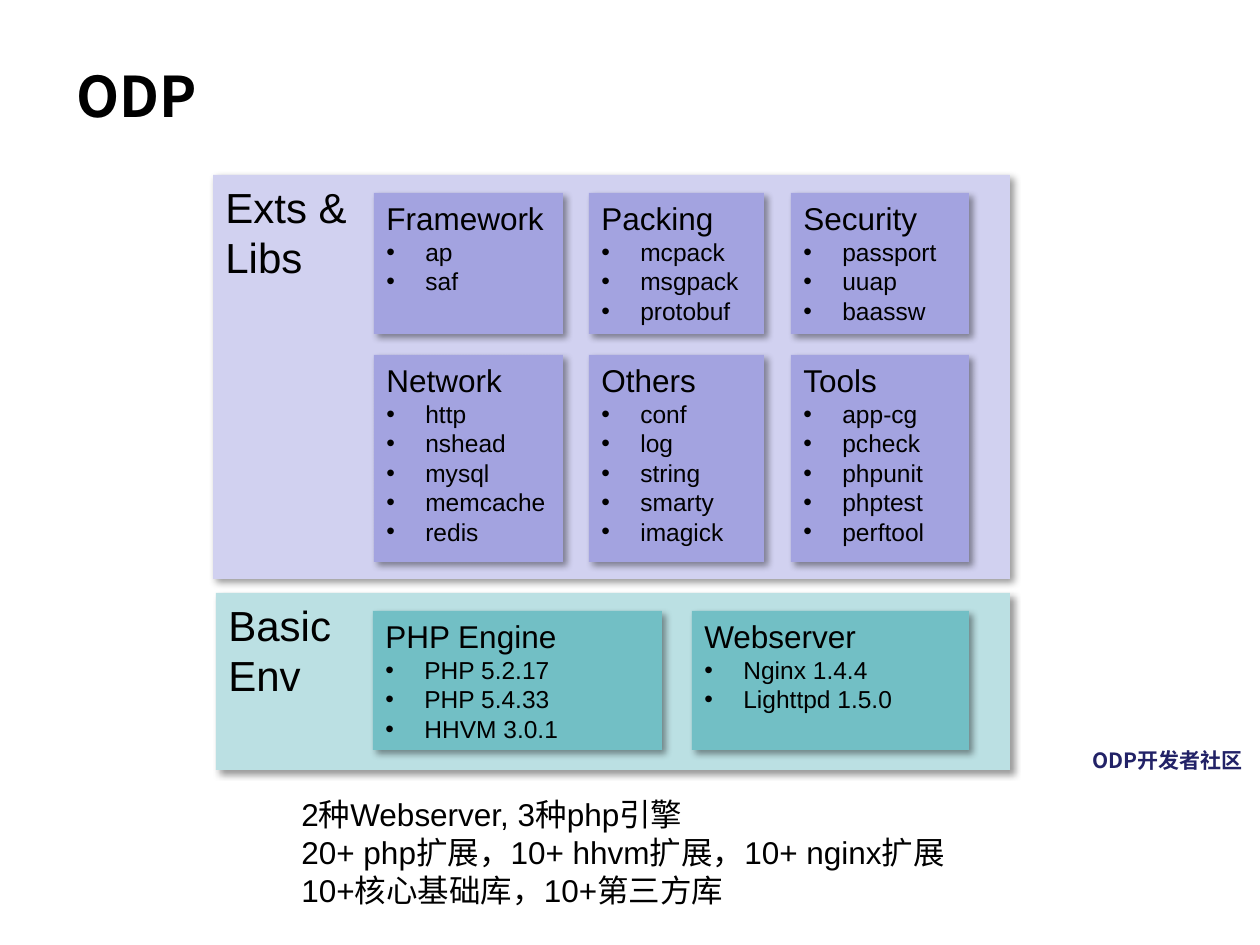
from lxml.etree import SubElement
from pptx import Presentation
from pptx.dml.color import RGBColor
from pptx.enum.shapes import MSO_SHAPE
from pptx.enum.text import MSO_ANCHOR, MSO_AUTO_SIZE, PP_ALIGN
from pptx.oxml.ns import qn
from pptx.util import Emu, Pt

SCALE = 914400 / 126
CJK_FONT = "Noto Sans CJK SC"
INDENT = 39
COLORS = {
    "text": "000000",
    "community": "222267",
    "library_panel": "D1D1F0",
    "library_card": "A3A3E0",
    "env_panel": "BBE0E3",
    "env_card": "72BFC5",
    "shadow": "000000",
}
COLUMNS = [(374, 189), (589, 175), (791, 178)]
LIBRARY_ROWS = [
    (193, 141, [
        ("Framework", ["ap", "saf"]),
        ("Packing", ["mcpack", "msgpack", "protobuf"]),
        ("Security", ["passport", "uuap", "baassw"]),
    ]),
    (355, 207, [
        ("Network", ["http", "nshead", "mysql", "memcache", "redis"]),
        ("Others", ["conf", "log", "string", "smarty", "imagick"]),
        ("Tools", ["app-cg", "pcheck", "phpunit", "phptest", "perftool"]),
    ]),
]
ENV_CARDS = [
    (373, 289, "PHP Engine", ["PHP 5.2.17", "PHP 5.4.33", "HHVM 3.0.1"]),
    (692, 277, "Webserver", ["Nginx 1.4.4", "Lighttpd 1.5.0"]),
]
SUMMARY = [
    "2种Webserver, 3种php引擎",
    "20+ php扩展，10+ hhvm扩展，10+ nginx扩展",
    "10+核心基础库，10+第三方库",
]


def px(length):
    """Turn whole pixels into EMU."""
    return Emu(round(length * SCALE))


def place(left, top, width, height):
    """Give a rectangle in EMU."""
    return [px(length) for length in (left, top, width, height)]


def add_bullet(para):
    """Give a paragraph a hanging round bullet."""
    properties = para._p.get_or_add_pPr()
    properties.set("marL", str(px(INDENT)))
    properties.set("indent", str(-px(INDENT)))
    SubElement(properties, qn("a:buFont")).set("typeface", "Arial")
    SubElement(properties, qn("a:buChar")).set("char", "•")


def write(frame, lines, size=18, font="Arial", color="text", bold=False, bullet=False, extend=False):
    """Write lines as paragraphs, after the present ones if extend is set."""
    for index, line in enumerate(lines):
        para = frame.add_paragraph() if extend or index else frame.paragraphs[0]
        para.alignment = PP_ALIGN.LEFT
        if bullet:
            add_bullet(para)
        span = para.add_run()
        span.text = line
        span.font.size = Pt(size)
        span.font.bold = bold
        span.font.name = font
        span.font.color.rgb = RGBColor.from_string(COLORS[color])
        SubElement(span.font._element, qn("a:ea")).set("typeface", CJK_FONT)


def add_shadow(shape):
    """Give a shape a soft shadow to the lower right."""
    shape.shadow.inherit = False
    effects = shape._element.spPr.find(qn("a:effectLst"))
    shadow = SubElement(effects, qn("a:outerShdw"), blurRad=str(Pt(4)), dist=str(Pt(3)),
                        dir="2700000", algn="tl", rotWithShape="0")
    tint = SubElement(shadow, qn("a:srgbClr"), val=COLORS["shadow"])
    SubElement(tint, qn("a:alpha"), val="40000")


def add_panel(page, bounds, fill, lines, size=24):
    """Add a filled rectangle with text at its top left."""
    panel = page.shapes.add_shape(MSO_SHAPE.RECTANGLE, *place(*bounds))
    panel.fill.solid()
    panel.fill.fore_color.rgb = RGBColor.from_string(COLORS[fill])
    panel.line.fill.background()
    add_shadow(panel)
    panel.text_frame.word_wrap = True
    panel.text_frame.vertical_anchor = MSO_ANCHOR.TOP
    write(panel.text_frame, lines, size=size)
    return panel


def add_card(page, bounds, fill, heading, items):
    """Add a panel with a heading and a bulleted list."""
    card = add_panel(page, bounds, fill, [heading], size=18)
    write(card.text_frame, items, size=14, bullet=True, extend=True)


def add_text(page, bounds, lines, **style):
    """Add a wrapping text box."""
    box = page.shapes.add_textbox(*place(*bounds))
    box.text_frame.word_wrap = True
    box.text_frame.auto_size = MSO_AUTO_SIZE.SHAPE_TO_FIT_TEXT
    write(box.text_frame, lines, **style)


def set_title(page, text):
    """Format the title placeholder and fill it in."""
    title = page.shapes.title
    title.left, title.top, title.width, title.height = place(64, 55, 1134, 158)
    title.text_frame.vertical_anchor = MSO_ANCHOR.TOP
    title.text_frame.auto_size = MSO_AUTO_SIZE.NONE
    write(title.text_frame, [text], size=32, font=CJK_FONT, bold=True)


def main():
    """Build the slide and save it."""
    deck = Presentation()
    deck.slide_width, deck.slide_height = px(1260), px(945)
    page = deck.slides.add_slide(deck.slide_layouts[5])
    set_title(page, "ODP")
    add_panel(page, (216, 593, 794, 177), "env_panel", ["Basic", "Env"])
    for left, width, heading, items in ENV_CARDS:
        add_card(page, (left, 611, width, 139), "env_card", heading, items)
    add_panel(page, (213, 175, 797, 404), "library_panel", ["Exts &", "Libs"])
    for top, height, cards in LIBRARY_ROWS:
        for (left, width), (heading, items) in zip(COLUMNS, cards):
            add_card(page, (left, top, width, height), "library_card", heading, items)
    add_text(page, (289, 789, 746, 127), SUMMARY)
    add_text(page, (1080, 741, 180, 38), ["ODP开发者社区"], size=12, font=CJK_FONT,
             color="community", bold=True)
    deck.save("out.pptx")


if __name__ == "__main__":
    main()
